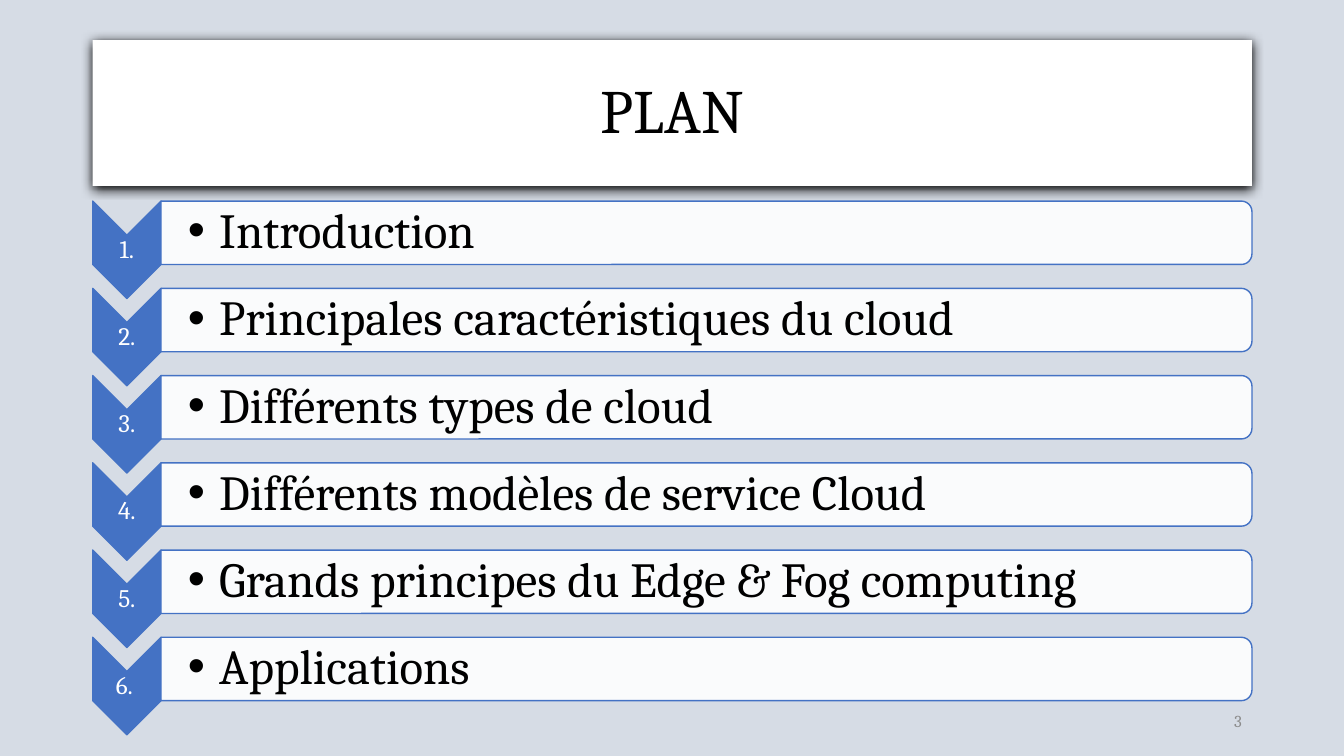
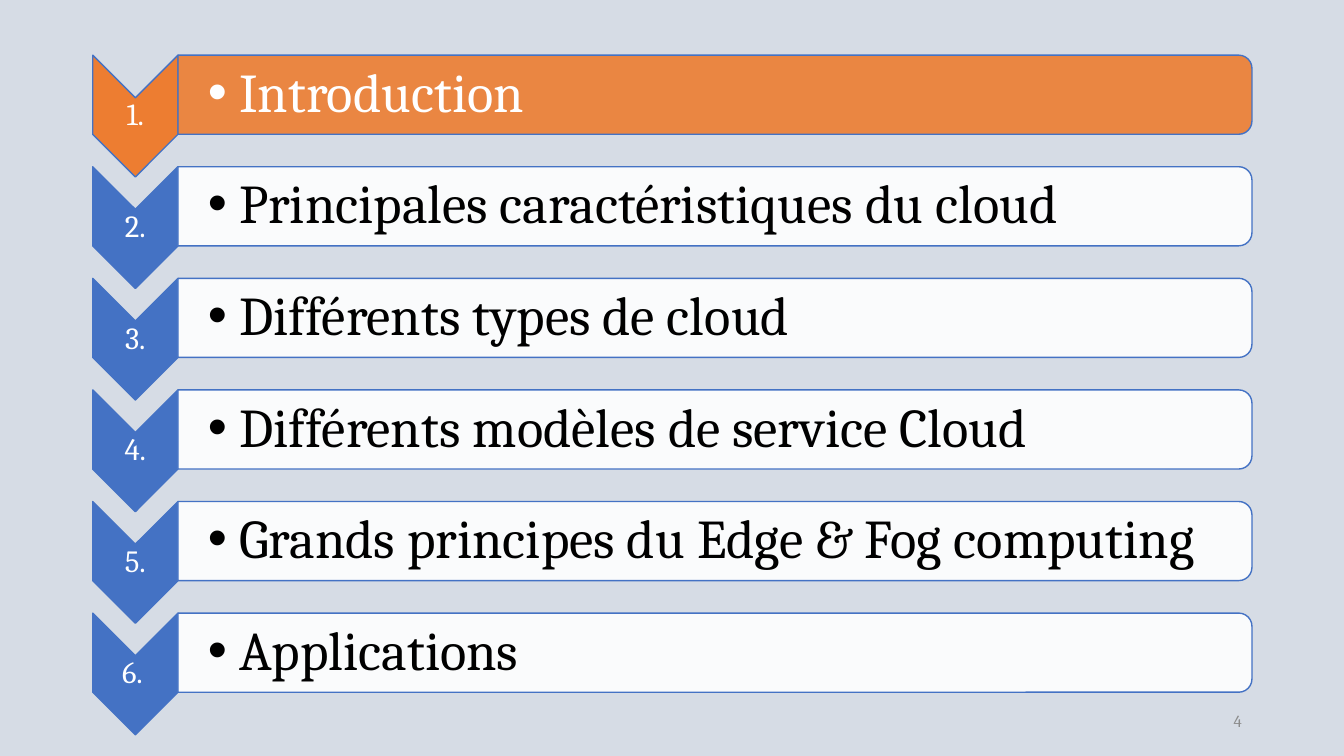
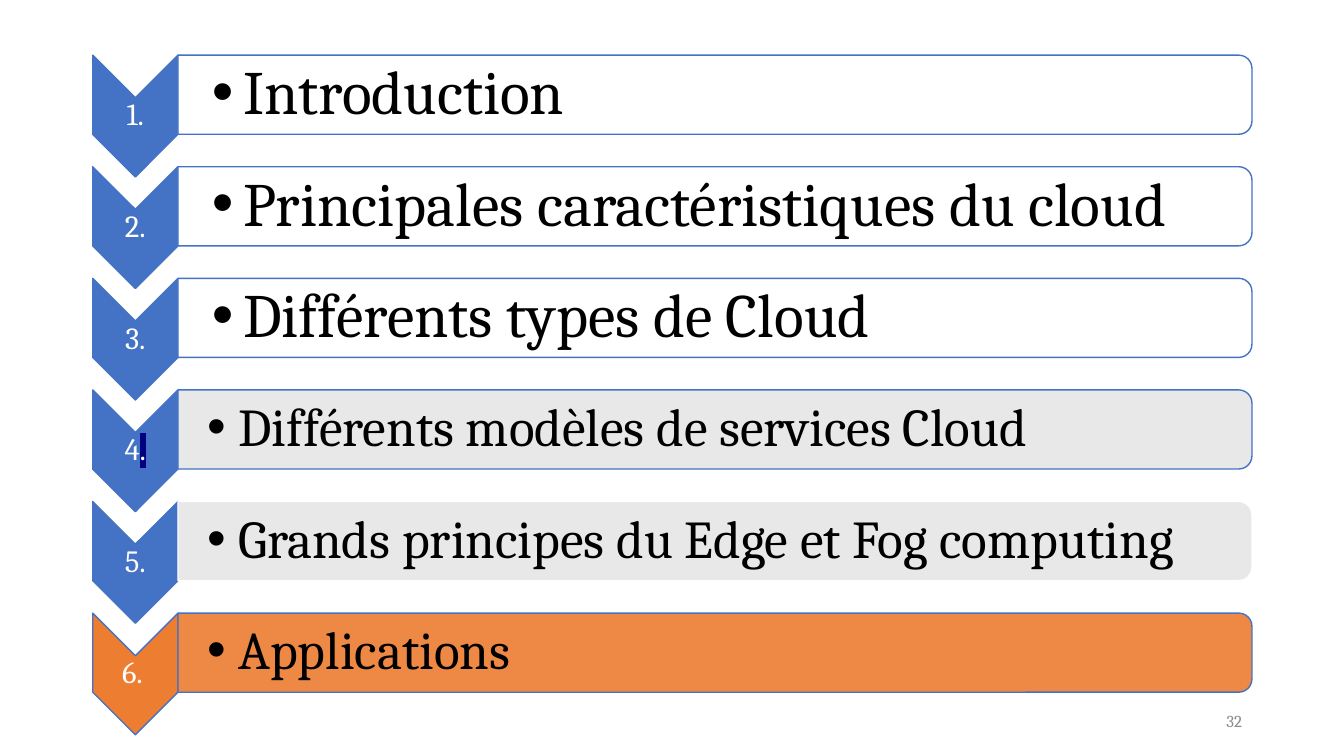
import dataclasses

import lxml.etree
import pptx
import pptx.dml.color
import pptx.enum.shapes
import pptx.enum.text
import pptx.oxml
import pptx.oxml.ns
import pptx.util

Kind = pptx.enum.shapes.MSO_SHAPE
Align = pptx.enum.text.PP_ALIGN
Inch = pptx.util.Inches
qn = pptx.oxml.ns.qn


@dataclasses.dataclass(frozen=True)
class Theme:
    font: str = "Cambria"
    mist: str = "D6DCE5"
    white: str = "FFFFFF"
    black: str = "000000"
    blue: str = "4472C4"
    orange: str = "ED7D31"
    grey: str = "E7E6E6"
    dim: str = "8C8C8C"
    navy: str = "000080"
    title: int = 44
    small: int = 12
    wide: float = 13.33
    high: float = 7.5


T = Theme()
LEFT = 0.069 * T.wide
SPAN = 0.8625 * T.wide
FOOT = 0.972 * T.high


@dataclasses.dataclass(frozen=True)
class Row:
    text: str
    size: int
    arrow: str = T.blue
    fill: str = T.white
    ink: str = T.black
    edge: str = T.blue
    mark: str = ""


def rgb(code):
    return pptx.dml.color.RGBColor.from_string(code)


def child(node, tag, **pairs):
    return lxml.etree.SubElement(node, qn(tag), pairs)


def write(frame, text, size, ink, align, pads=(0.1, 0.05, 0.1, 0.05),
          line=0.9, mark="", dot=False):
    """Fill a frame with one paragraph; mark is a highlighted ending."""
    frame.word_wrap = True
    frame.auto_size = pptx.enum.text.MSO_AUTO_SIZE.NONE
    frame.vertical_anchor = pptx.enum.text.MSO_ANCHOR.MIDDLE
    (frame.margin_left, frame.margin_top,
     frame.margin_right, frame.margin_bottom) = map(Inch, pads)
    frame.text = text
    para = frame.paragraphs[0]
    para.alignment = align
    para.line_spacing = line
    if dot:
        props = para._p.get_or_add_pPr()
        props.set("marL", str(Inch(0.31)))
        props.set("indent", str(-Inch(0.31)))
        child(props, "a:buFont", typeface="Arial")
        child(props, "a:buChar", char="•")
    if mark:
        para.add_run().text = mark
    for run in para.runs:
        run.font.name = T.font
        run.font.size = pptx.util.Pt(size)
        run.font.color.rgb = rgb(ink)
    if mark:
        props = para.runs[-1]._r.get_or_add_rPr()
        glow = child(props, "a:highlight")
        child(glow, "a:srgbClr", val=T.navy)
        props.find(qn("a:latin")).addprevious(glow)


def label(slide, box, *args, **opts):
    shape = slide.shapes.add_textbox(*map(Inch, box))
    write(shape.text_frame, *args, **opts)


def block(slide, kind, box, fill, edge=None, turn=False, alpha=100):
    """Draw a shape that fills box, turned a quarter if asked."""
    x, y, w, h = box
    if turn:
        x, y, w, h = x + (w - h) / 2, y + (h - w) / 2, h, w
    shape = slide.shapes.add_shape(kind, *map(Inch, (x, y, w, h)))
    shape.rotation = 90 if turn else 0
    shape.shadow.inherit = False
    shape.fill.solid()
    shape.fill.fore_color.rgb = rgb(fill)
    if alpha < 100:
        tint = shape._element.spPr.find(qn("a:solidFill"))[0]
        child(tint, "a:alpha", val=str(alpha * 1000))
    if edge:
        shape.line.color.rgb = rgb(edge)
        shape.line.width = pptx.util.Pt(1)
    else:
        shape.line.fill.background()
    return shape


def banner(slide, text):
    box = LEFT, 0.053 * T.high, SPAN, 0.193 * T.high
    shape = block(slide, Kind.RECTANGLE, box, T.white)
    glow = shape._element.spPr.find(qn("a:effectLst"))
    cast = child(glow, "a:outerShdw", blurRad=str(pptx.util.Pt(8.5)),
                 dist=str(pptx.util.Pt(1)), dir="5400000",
                 algn="t", rotWithShape="0")
    child(cast, "a:srgbClr", val=T.black)
    write(shape.text_frame, text, T.title, T.black, Align.CENTER)


def agenda(slide, rows, top, tall, size):
    """Stack numbered rows evenly from top down to the foot line."""
    step = (FOOT - top - tall) / (len(rows) - 1)
    wide, deep = 0.7 * tall, 0.65 * tall
    pad = 0.05 * deep
    x, long = LEFT + wide, SPAN - wide
    for i, row in enumerate(rows):
        y = top + i * step
        block(slide, Kind.CHEVRON, (LEFT, y, wide, tall),
              row.arrow, T.blue, turn=True)
        tail = "" if row.mark else ". " if i == len(rows) - 1 else "."
        label(slide, (LEFT, y + wide / 2, wide, tall - wide),
              f"{i + 1}{tail}", size, T.white, Align.CENTER,
              pads=(0.02,) * 4, mark=row.mark)
        block(slide, Kind.ROUND_2_SAME_RECTANGLE, (x, y, long, deep),
              row.fill, row.edge, turn=True, alpha=90)
        label(slide, (x, y + pad, long - pad, deep - 2 * pad),
              row.text, row.size, row.ink, Align.LEFT, dot=True,
              pads=(0.55 * row.size / 72, 0.03, 0.03, 0.03))


def page(deck, back, number):
    slide = deck.slides.add_slide(deck.slide_layouts[6])
    slide.background.fill.solid()
    slide.background.fill.fore_color.rgb = rgb(back)
    wide = 0.225 * T.wide
    label(slide, (LEFT + SPAN - wide, 0.927 * T.high, wide, 0.4),
          str(number), T.small, T.dim, Align.RIGHT, line=1.0)
    return slide


def main():
    deck = pptx.Presentation()
    deck.slide_width, deck.slide_height = Inch(T.wide), Inch(T.high)
    names = ["Introduction", "Principales caractéristiques du cloud",
             "Différents types de cloud",
             "Différents modèles de service Cloud",
             "Grands principes du Edge & Fog computing", "Applications"]

    slide = page(deck, T.mist, 3)
    banner(slide, "PLAN")
    agenda(slide, [Row(name, 35) for name in names],
           0.266 * T.high, 0.129 * T.high, 18)

    full = 0.073 * T.high, 0.161 * T.high, 22
    first = Row(names[0], 39, T.orange, T.orange, T.white)
    agenda(page(deck, T.mist, 4),
           [first] + [Row(name, 39) for name in names[1:]], *full)

    agenda(page(deck, T.white, 32), [
        Row(names[0], 44),
        Row(names[1], 44),
        Row("Différents types de Cloud", 44),
        Row("Différents modèles de services Cloud", 38,
            fill=T.grey, mark="."),
        Row("Grands principes du Edge et Fog computing", 38,
            fill=T.grey, edge=T.white),
        Row(names[5], 38, T.orange, T.orange),
    ], *full)
    deck.save("out.pptx")


if __name__ == "__main__":
    main()
